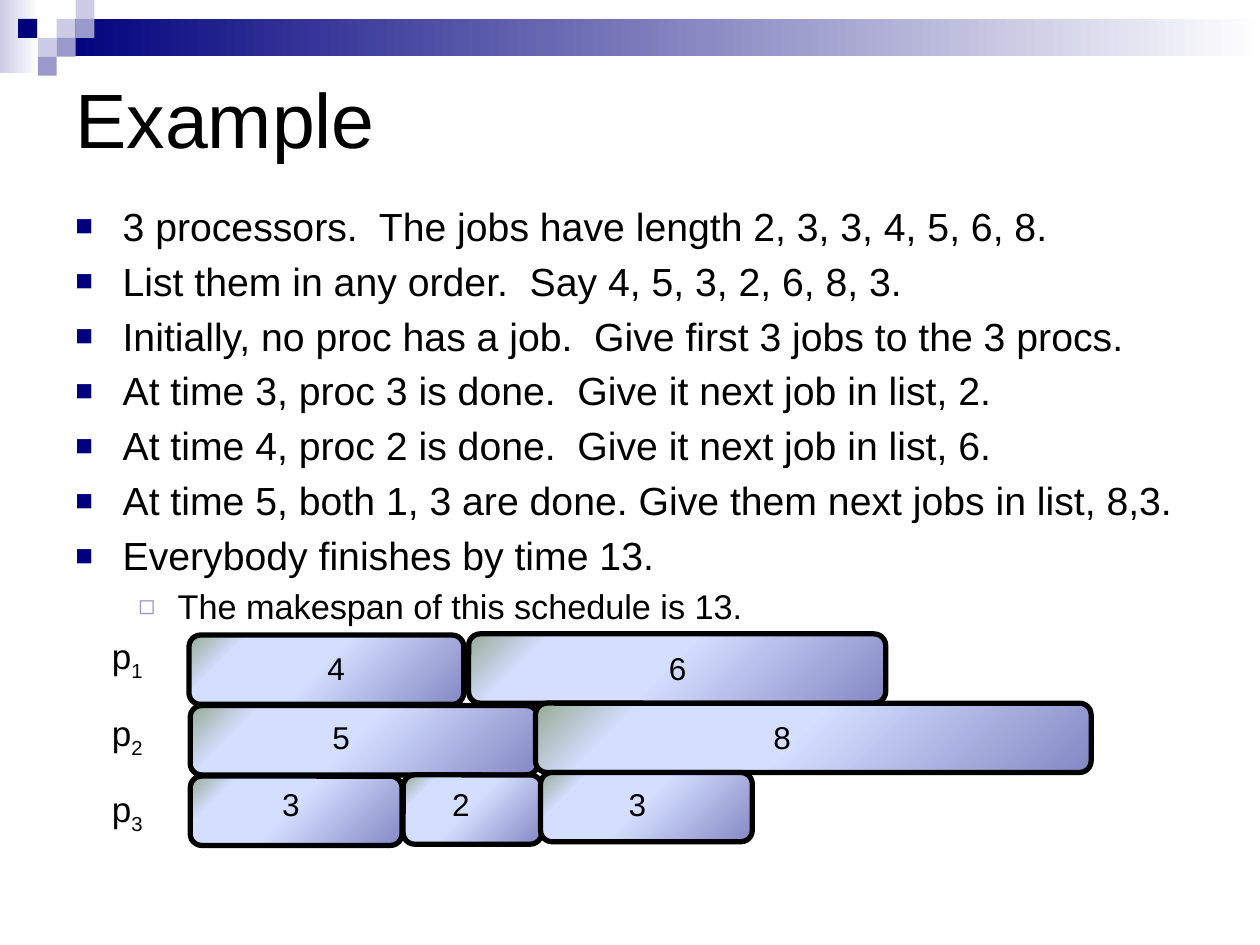
from lxml.etree import SubElement
from pptx import Presentation
from pptx.dml.color import RGBColor
from pptx.enum.shapes import MSO_SHAPE
from pptx.enum.text import MSO_ANCHOR
from pptx.oxml import parse_xml
from pptx.oxml.ns import nsdecls, qn
from pptx.util import Pt

FONT = "Arial"
NAVY, LILAC, PALE = "00007D", "9999CC", "CCCCE6"
JOB = [(0, "8488C4"), (53, "D4DEFF"), (83, "D4DEFF"), (100, "96AB94")]

# Header squares: left, top, colour
TILES = [
    (32.4, 10.8, PALE), (43.2, 0, PALE), (43.2, 10.8, LILAC),
    (21.6, 21.6, PALE), (10.4, 10.8, NAVY), (32.4, 21.6, LILAC),
    (21.6, 32.4, LILAC),
]
POINTS = [
    "3 processors.  The jobs have length 2, 3, 3, 4, 5, 6, 8.",
    "List them in any order.  Say 4, 5, 3, 2, 6, 8, 3.",
    "Initially, no proc has a job.  Give first 3 jobs to the 3 procs.",
    "At time 3, proc 3 is done.  Give it next job in list, 2.",
    "At time 4, proc 2 is done.  Give it next job in list, 6.",
    "At time 5, both 1, 3 are done. Give them next jobs in list, 8,3.",
    "Everybody finishes by time 13.",
]
# Jobs: left, top, width, label, label left, label top
JOBS = [
    (108, 362.9, 157, "4", 180, 367.2),
    (108.7, 403.2, 198.7, "5", 182.9, 406.8),
    (108.7, 443.5, 121, "3", 154.1, 445),
    (230.4, 442.8, 79.2, "2", 251.3, 445),
    (267.8, 362.2, 238.3, "6", 375.1, 367.2),
    (306, 401.8, 317.5, "8", 434.9, 406.8),
    (308.9, 441.4, 121, "3", 352.1, 445),
]


def color(code):
    return RGBColor.from_string(code)


def blend(shape, stops, angle):
    """Fill a shape with a linear gradient."""
    marks = "".join(
        f'<a:gs pos="{pos * 1000}"><a:srgbClr val="{code}"/></a:gs>'
        for pos, code in stops)
    grad = parse_xml(
        f'<a:gradFill {nsdecls("a")} rotWithShape="1"><a:gsLst>{marks}</a:gsLst>'
        f'<a:lin ang="{angle * 60000}" scaled="0"/></a:gradFill>')
    shape.element.spPr.find(qn("a:prstGeom")).addnext(grad)


def block(slide, kind, left, top, width, height):
    shape = slide.shapes.add_shape(
        kind, Pt(left), Pt(top), Pt(width), Pt(height))
    shape.shadow.inherit = False
    shape.line.fill.background()
    return shape


def write(para, text, size, base=0):
    run = para.add_run()
    run.text = text
    run.font.name = FONT
    run.font.size = Pt(size)
    run.font.color.rgb = color("000000")
    if base:
        run.font._element.set("baseline", str(base * 1000))


def label(slide, left, top, width, height):
    frame = slide.shapes.add_textbox(
        Pt(left), Pt(top), Pt(width), Pt(height)).text_frame
    frame.word_wrap = True
    return frame


def bullet(para, text, size, sign, code, scale, left, hang):
    """Write a bulleted line, set off by a fifth of its size."""
    props = para._p.get_or_add_pPr()
    props.set("marL", str(Pt(left)))
    props.set("indent", str(-Pt(hang)))
    para.space_before = Pt(round(size / 5, 2))
    tint = SubElement(props, qn("a:buClr"))
    SubElement(tint, qn("a:srgbClr"), val=code)
    SubElement(props, qn("a:buSzPct"), val=str(scale * 1000))
    SubElement(props, qn("a:buFont"), typeface=FONT)
    SubElement(props, qn("a:buChar"), char=sign)
    write(para, text, size)


def header(slide):
    fade = block(slide, MSO_SHAPE.RECTANGLE, 0, 0, 22, 41.8)
    blend(fade, [(0, PALE), (100, "FFFFFF")], 0)
    band = block(slide, MSO_SHAPE.RECTANGLE, 32.4, 10.8, 687.6, 21.4)
    blend(band, [(0, NAVY), (100, "FFFFFF")], 0)
    for left, top, code in TILES:
        tile = block(slide, MSO_SHAPE.RECTANGLE, left, top, 10.8, 10.8)
        tile.fill.solid()
        tile.fill.fore_color.rgb = color(code)


def body(slide):
    frame = label(slide, 36, 112, 648, 212.4)
    for num, text in enumerate(POINTS):
        para = frame.add_paragraph() if num else frame.paragraphs[0]
        bullet(para, text, 22.4, "■", NAVY, 75, 27, 27)
    para = frame.add_paragraph()
    para.level = 1
    bullet(para, "The makespan of this schedule is 13.", 19.6,
           "◻", LILAC, 80, 58.5, 22.5)


def job(slide, left, top, width, text, x, y):
    bar = block(slide, MSO_SHAPE.ROUNDED_RECTANGLE, left, top, width, 39.6)
    blend(bar, JOB, 225)
    bar.line.color.rgb = color("000000")
    bar.line.width = Pt(3)
    write(label(slide, x, y, 74.2, 28.8).paragraphs[0], text, 18)


def main():
    deck = Presentation()
    deck.slide_width, deck.slide_height = Pt(720), Pt(540)
    slide = deck.slides.add_slide(deck.slide_layouts[6])

    # Header, title and bullets
    header(slide)
    title = label(slide, 36, 36.5, 648, 61.9)
    title.vertical_anchor = MSO_ANCHOR.MIDDLE
    write(title.paragraphs[0], "Example", 44)
    body(slide)

    # Schedule
    for item in JOBS:
        job(slide, *item)
    for num in range(3):
        para = label(slide, 56.9, 359.3 + 43.6 * num, 49, 31.7).paragraphs[0]
        write(para, "p", 20)
        write(para, str(num + 1), 20, -25)

    deck.save("out.pptx")


if __name__ == "__main__":
    main()
